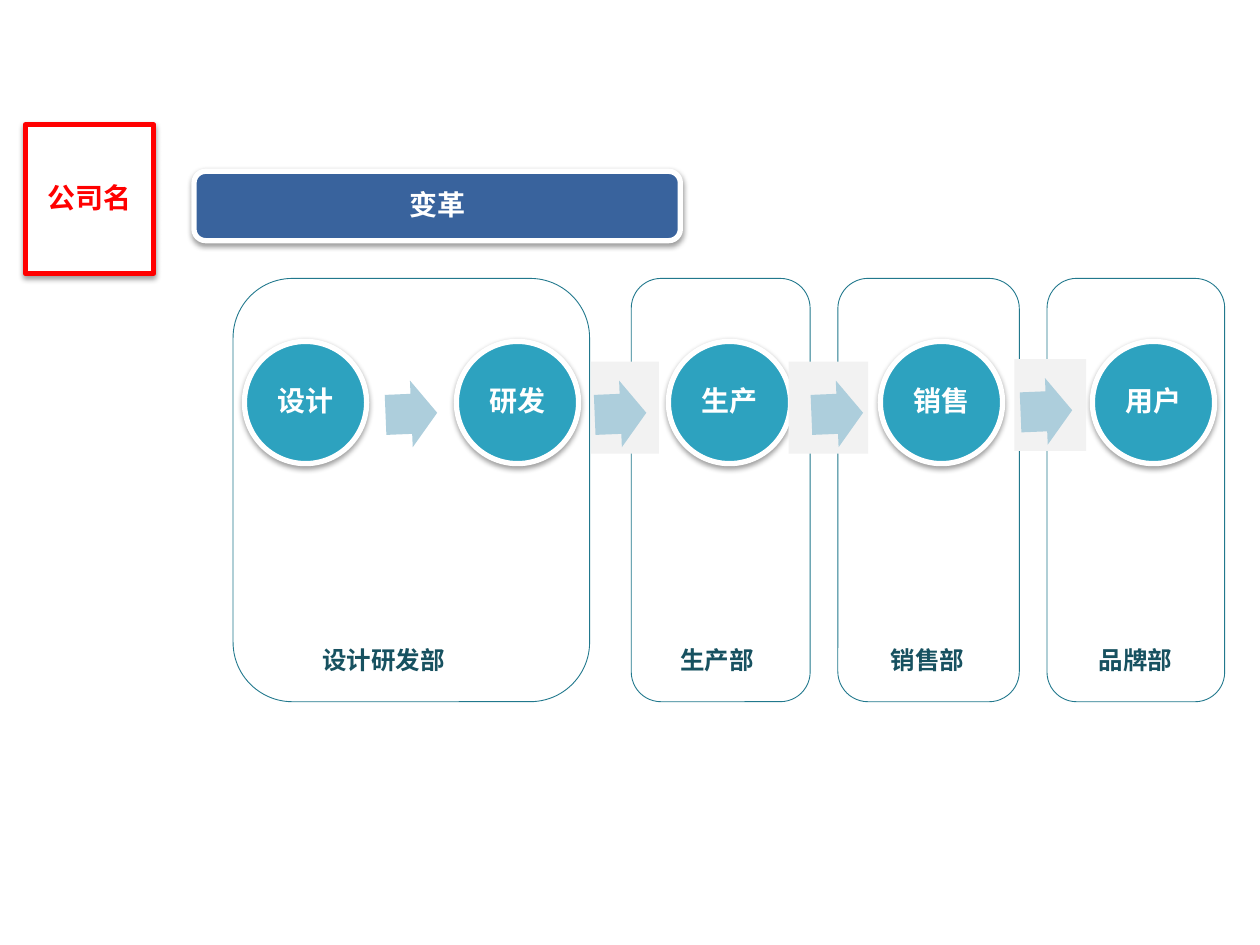
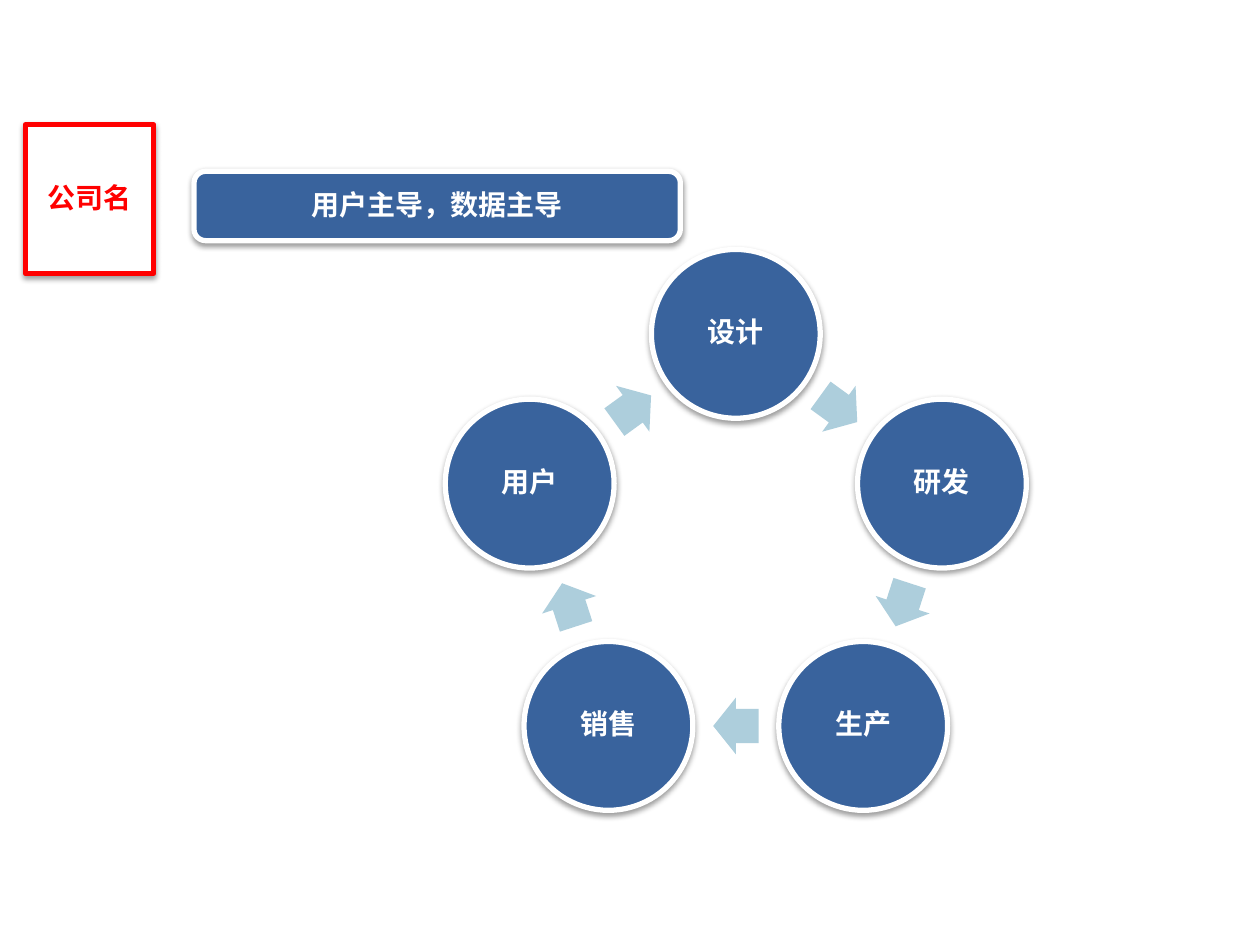
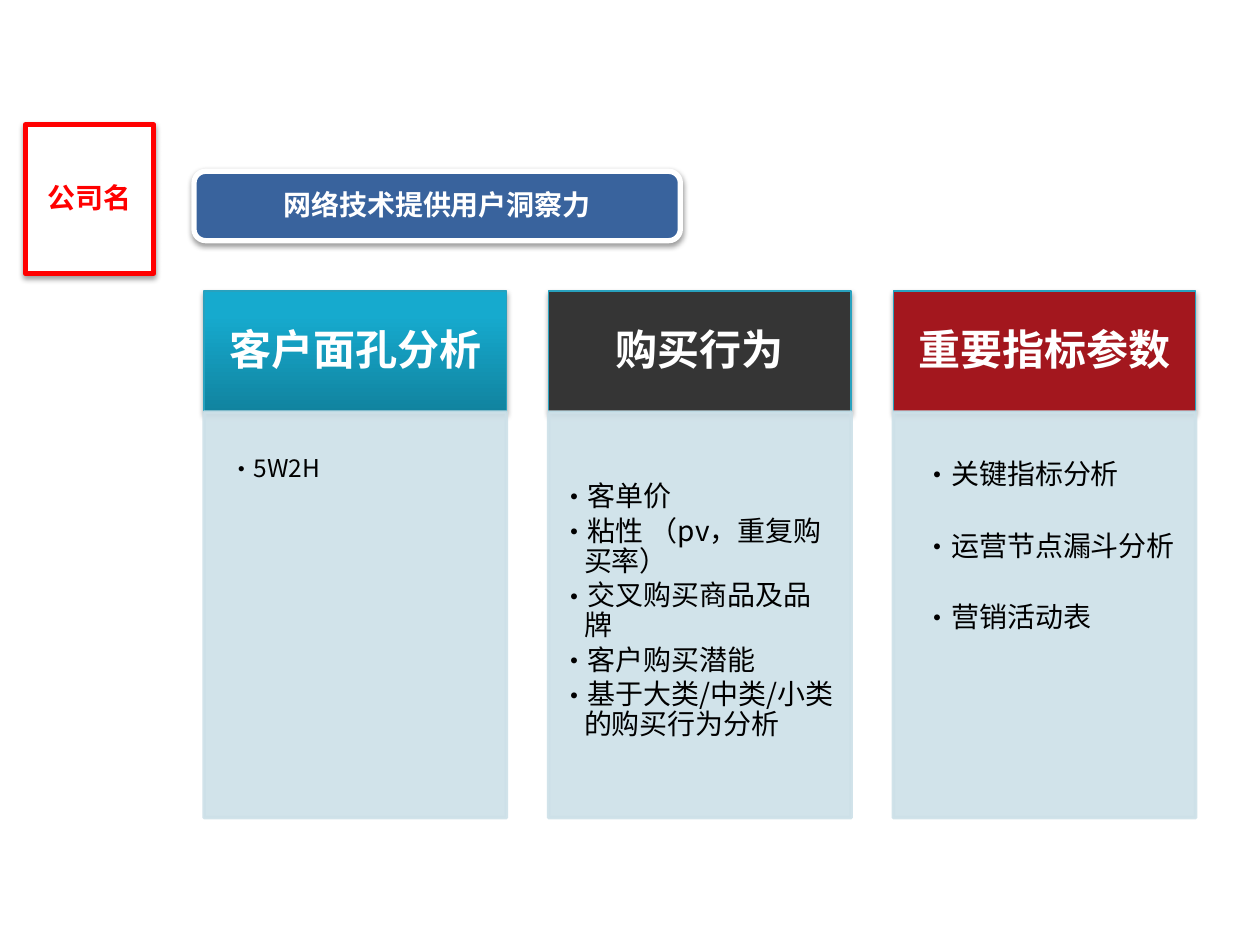
from dataclasses import dataclass
from math import cos, pi, radians, sin

from pptx import Presentation
from pptx.dml.color import RGBColor
from pptx.enum.shapes import MSO_SHAPE
from pptx.enum.text import MSO_ANCHOR, PP_ALIGN
from pptx.oxml.ns import qn
from pptx.util import Inches, Pt
from lxml.etree import SubElement

WHITE = RGBColor(0xFF, 0xFF, 0xFF)
BLACK = RGBColor(0x00, 0x00, 0x00)
RED = RGBColor(0xFF, 0x00, 0x00)
BLUE = RGBColor(0x39, 0x63, 0x9D)
TEAL = RGBColor(0x2D, 0xA2, 0xBF)
FRAME_TEAL = RGBColor(0x21, 0x78, 0x8D)
LABEL_TEAL = RGBColor(0x17, 0x51, 0x60)
ARROW_BLUE = RGBColor(0xAD, 0xCE, 0xDC)
ARROW_GRAY = RGBColor(0xF2, 0xF2, 0xF2)
CARD_LINE = RGBColor(0x28, 0xA1, 0xBE)
CARD_BODY = RGBColor(0xCD, 0xE0, 0xE8)
CHARCOAL = RGBColor(0x35, 0x35, 0x35)
CRIMSON = RGBColor(0xA3, 0x17, 0x1E)
GRADIENT_DARK = RGBColor(0x11, 0x83, 0x9F)
GRADIENT_LIGHT = RGBColor(0x16, 0xAA, 0xCE)
FONT = "Noto Sans CJK SC"


@dataclass
class Box:
    left: float
    top: float
    width: float
    height: float

    def lengths(self):
        return [Inches(value) for value in (self.left, self.top, self.width, self.height)]


BADGE_BOX = Box(0.2, 0.99, 1.02, 1.18)
TITLE_BOX = Box(1.54, 1.36, 3.86, 0.55)


def centred_box(x, y, width, height):
    return Box(x - width / 2, y - height / 2, width, height)


def add_shadow(shape, alpha=38, distance=20000):
    effects = shape._element.spPr.find(qn("a:effectLst"))
    shadow = SubElement(effects, qn("a:outerShdw"), blurRad="40000", dist=str(distance),
                        dir="5400000", rotWithShape="0")
    color = SubElement(shadow, qn("a:srgbClr"), val="000000")
    SubElement(color, qn("a:alpha"), val=str(alpha * 1000))


def add_figure(slide, kind, box, fill, line=None, line_width=0.75, rotation=0):
    shape = slide.shapes.add_shape(kind, *box.lengths())
    shape.shadow.inherit = False
    shape.rotation = rotation
    shape.fill.solid()
    shape.fill.fore_color.rgb = fill
    if line is None:
        shape.line.fill.background()
    else:
        shape.line.color.rgb = line
        shape.line.width = Pt(line_width)
    return shape


def set_insets(frame, left, top, right, bottom):
    frame.margin_left, frame.margin_top = Inches(left), Inches(top)
    frame.margin_right, frame.margin_bottom = Inches(right), Inches(bottom)


def add_run(paragraph, text, size, color, bold=True):
    run = paragraph.add_run()
    run.text = text
    font = run.font
    font.name, font.size, font.bold = FONT, Pt(size), bold
    font.color.rgb = color
    SubElement(run._r.get_or_add_rPr(), qn("a:ea"), typeface=FONT)


def write_centred(shape, text, size=16, color=WHITE, inset=0.02):
    frame = shape.text_frame
    frame.word_wrap = True
    frame.vertical_anchor = MSO_ANCHOR.MIDDLE
    set_insets(frame, inset, inset, inset, inset)
    paragraph = frame.paragraphs[0]
    paragraph.alignment = PP_ALIGN.CENTER
    paragraph.line_spacing = 0.9
    add_run(paragraph, text, size, color)


def add_arrow(slide, box, rotation):
    arrow = add_figure(slide, MSO_SHAPE.RIGHT_ARROW, box, ARROW_BLUE, rotation=rotation)
    arrow.adjustments[0] = 0.6
    arrow.adjustments[1] = 0.5


def add_step(slide, box, text, fill):
    circle = add_figure(slide, MSO_SHAPE.OVAL, box, fill, WHITE, 3)
    add_shadow(circle)
    write_centred(circle, text)


def add_badge(slide, box):
    badge = add_figure(slide, MSO_SHAPE.RECTANGLE, box, WHITE, RED, 3)
    add_shadow(badge)
    write_centred(badge, "公司名", color=RED)


def add_title(slide, box, text):
    band = add_figure(slide, MSO_SHAPE.ROUNDED_RECTANGLE, box, BLUE, WHITE, 3)
    add_shadow(band)
    write_centred(band, text, inset=0.07)


def add_titled_slide(presentation, title):
    slide = presentation.slides.add_slide(presentation.slide_layouts[6])
    add_badge(slide, BADGE_BOX)
    add_title(slide, TITLE_BOX, title)
    return slide


def add_department(slide, box, name, name_left, name_width):
    add_figure(slide, MSO_SHAPE.ROUNDED_RECTANGLE, box, WHITE, FRAME_TEAL, 0.5)
    label_box = Box(box.left + name_left, box.top + 2.86, name_width, 0.34)
    label = slide.shapes.add_textbox(*label_box.lengths())
    label.text_frame.word_wrap = False
    add_run(label.text_frame.paragraphs[0], name, 14, LABEL_TEAL)


def add_chain(slide, box, steps):
    pitch = (box.width - box.height) / (len(steps) - 1)
    for index, step in enumerate(steps):
        add_step(slide, Box(box.left + index * pitch, box.top, box.height, box.height), step, TEAL)


def add_handover(slide, box, arrow_offset):
    add_figure(slide, MSO_SHAPE.RECTANGLE, box, ARROW_GRAY)
    add_arrow(slide, Box(box.left + arrow_offset, box.top + 0.15, 0.41, 0.53), 357.6)


def build_change_slide(presentation):
    slide = add_titled_slide(presentation, "变革")
    departments = [
        (1.85, 2.83, "设计研发部", 0.61, 1.18),
        (5.01, 1.42, "生产部", 0.29, 0.79),
        (6.65, 1.44, "销售部", 0.32, 0.79),
        (8.31, 1.41, "品牌部", 0.31, 0.79),
    ]
    for left, width, name, name_left, name_width in departments:
        add_department(slide, Box(left, 2.21, width, 3.36), name, name_left, name_width)
    add_chain(slide, Box(1.94, 2.71, 7.7, 0.97), ["设计", "研发", "生产", "销售", "用户"])
    add_arrow(slide, Box(3.06, 3.02, 0.41, 0.53), 357.6)
    for left, top, width, arrow_offset in [
        (4.69, 2.87, 0.54, 0.03),
        (6.26, 2.87, 0.63, 0.18),
        (8.05, 2.85, 0.57, 0.05),
    ]:
        add_handover(slide, Box(left, top, width, 0.73), arrow_offset)


def add_cycle(slide, box, steps):
    diameter = 1.34
    radius = (box.height - diameter) / 2
    center_x, center_y = box.left + box.width / 2, box.top + box.height / 2
    turn = 360 / len(steps)
    arrow_radius = radius * cos(pi / len(steps))

    def box_at(angle, distance, width, height):
        x = center_x + distance * sin(radians(angle))
        y = center_y - distance * cos(radians(angle))
        return centred_box(x, y, width, height)

    for index, step in enumerate(steps):
        angle = index * turn
        add_step(slide, box_at(angle, radius, diameter, diameter), step, BLUE)
        arrow_angle = angle + turn / 2
        add_arrow(slide, box_at(arrow_angle, arrow_radius, 0.36, 0.45), arrow_angle)


def build_cycle_slide(presentation):
    slide = add_titled_slide(presentation, "用户主导，数据主导")
    add_cycle(slide, Box(3.45, 1.98, 4.78, 4.78), ["设计", "研发", "生产", "销售", "用户"])


@dataclass
class Card:
    heading: str
    fill: RGBColor
    items: list
    insets: tuple
    size: int = 16
    margin: float = 0.19
    hanging: float = 0.19
    line_spacing: float = 0.9
    anchor: MSO_ANCHOR = MSO_ANCHOR.TOP
    gradient: bool = False


def add_bullet(paragraph, text, card):
    paragraph.alignment = PP_ALIGN.LEFT
    paragraph.line_spacing = card.line_spacing
    paragraph.space_after = Pt(card.size * 0.15)
    properties = paragraph._p.get_or_add_pPr()
    properties.set("marL", str(Inches(card.margin)))
    properties.set("indent", str(-Inches(card.hanging)))
    SubElement(properties, qn("a:buFont"), typeface=FONT)
    SubElement(properties, qn("a:buChar"), char="•")
    add_run(paragraph, text, card.size, BLACK, bold=False)


def add_card(slide, box, card):
    heading_height = 0.96
    heading = add_figure(slide, MSO_SHAPE.RECTANGLE,
                         Box(box.left, box.top, box.width, heading_height), card.fill, CARD_LINE)
    if card.gradient:
        heading.fill.gradient()
        heading.fill.gradient_angle = 90
        for stop, color, position in zip(heading.fill.gradient_stops,
                                         (GRADIENT_DARK, GRADIENT_LIGHT), (0, 0.8)):
            stop.color.rgb = color
            stop.position = position
    add_shadow(heading, 35, 23000)
    write_centred(heading, card.heading, 24, inset=0.11)

    body = add_figure(slide, MSO_SHAPE.RECTANGLE,
                      Box(box.left, box.top + heading_height, box.width,
                          box.height - heading_height), CARD_BODY, CARD_BODY, 2)
    for color in body._element.spPr.iter(qn("a:srgbClr")):
        SubElement(color, qn("a:alpha"), val="90000")
    frame = body.text_frame
    frame.word_wrap = True
    frame.vertical_anchor = card.anchor
    set_insets(frame, *card.insets)
    for index, item in enumerate(card.items):
        paragraph = frame.add_paragraph() if index else frame.paragraphs[0]
        add_bullet(paragraph, item, card)


def add_cards(slide, box, cards):
    card_width = 2.4
    pitch = (box.width - card_width) / (len(cards) - 1)
    for index, card in enumerate(cards):
        add_card(slide, Box(box.left + index * pitch, box.top, card_width, box.height), card)


def build_insight_slide(presentation):
    slide = add_titled_slide(presentation, "网络技术提供用户洞察力")
    add_cards(slide, Box(1.62, 2.31, 7.87, 4.18), [
        Card("客户面孔分析", GRADIENT_LIGHT, ["5W2H"], (0.2, 0.35, 0.11, 0.12),
             size=14, margin=0.12, hanging=0.12, gradient=True),
        Card("购买行为", CHARCOAL,
             ["客单价", "粘性 （pv，重复购买率）", "交叉购买商品及品牌", "客户购买潜能",
              "基于大类/中类/小类的购买行为分析"],
             (0.09, 0.09, 0.12, 0.14), anchor=MSO_ANCHOR.MIDDLE),
        Card("重要指标参数", CRIMSON, ["关键指标分析", "运营节点漏斗分析", "营销活动表"],
             (0.24, 0.09, 0.12, 0.14), hanging=0.24, line_spacing=2.0),
    ])


def main():
    presentation = Presentation()
    presentation.slide_width = Inches(10)
    presentation.slide_height = Inches(7.5)
    build_change_slide(presentation)
    build_cycle_slide(presentation)
    build_insight_slide(presentation)
    presentation.save("out.pptx")


if __name__ == "__main__":
    main()
